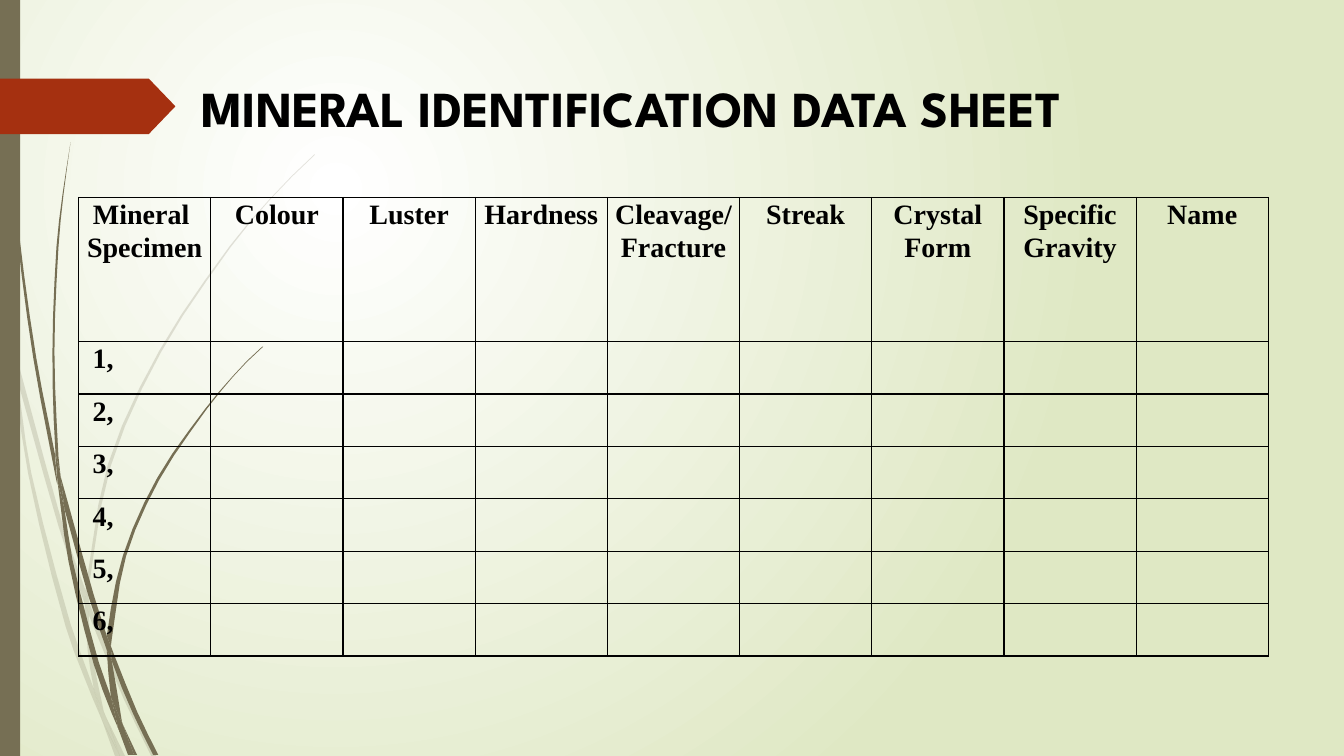
from dataclasses import dataclass
from lxml import etree
from pptx import Presentation
from pptx.dml.color import RGBColor
from pptx.enum.shapes import MSO_SHAPE
from pptx.enum.text import MSO_ANCHOR, PP_ALIGN
from pptx.oxml.ns import qn
from pptx.util import Inches, Pt

RECT, ARROW = MSO_SHAPE.RECTANGLE, MSO_SHAPE.PENTAGON
TOP, MIDDLE = MSO_ANCHOR.TOP, MSO_ANCHOR.MIDDLE
LEFT, CENTER = PP_ALIGN.LEFT, PP_ALIGN.CENTER

UNIT = Inches(0.01)
COLS, ROWS = 1333, 750
BLACK, OLIVE, RUST = "000000", "766F54", "A53010"
WHITE, LIME = "FFFFFF", "DFE8C4"
REACH = 35
PLAIN = "{2D5ABB26-0587-4C30-8999-92F81FD0307C}"


@dataclass
class Box:
    col: float
    row: float
    wide: float
    high: float

    def place(self) -> list[int]:
        return [grid(n) for n in (self.col, self.row, self.wide, self.high)]


@dataclass
class Blade:
    out: str
    back: str


@dataclass
class Plant:
    alpha: int
    blades: list[Blade]


PALE = Plant(20, [
    Blade("11,350 9,322 0,282", "0,299 10,344 11,350"),
    Blade("17,376 58,522 84,599", "85,586 62,520 14,345"),
    Blade("88,610 123,694 150,750", "155,750 127,692 92,607 88,596"),
    Blade("119,750 124,750", "105,711"),
    Blade("101,714 99,707 93,683 70,619 31,469 17,376 11,350",
          "11,350 28,470 65,621 92,693 101,714"),
    Blade("84,599 87,646 93,683 96,692 105,711",
          "105,711 103,706 91,646 88,610 88,608 84,599"),
    Blade("88,596 88,584 110,462 160,349 229,245 268,198 290,175 312,154",
          "312,153 289,175 268,197 228,244 158,348 107,461 85,584 85,586"),
    Blade("101,714 114,750", "119,750 101,714"),
    Blade("88,608 88,610 88,596", "85,586 84,599 88,608"),
    Blade("96,692 93,683 99,707 101,714 119,750", "119,750 105,711 96,692"),
])
DARK = Plant(100, [
    Blade("57,481 55,457 55,453 36,355 19,232 8,109 5,48 4,0",
          "3,0 4,48 7,110 17,233 33,355 56,477 57,481"),
    Blade("64,505 88,592 106,645", "106,633 106,631 93,590 60,472"),
    Blade("110,641 111,656 132,708 152,749", "157,749 136,706 113,649 110,641"),
    Blade("57,477 68,557 93,659 111,708 117,722",
          "116,717 110,691 98,657 72,556 64,505 57,477"),
    Blade("60,472 58,453 54,349 58,245 63,193 70,141",
          "70,141 62,193 56,245 52,349 55,449 60,472"),
    Blade("133,749 136,749", "122,719"),
    Blade("57,477 64,505", "60,472 55,449 55,453 57,477"),
    Blade("110,641 111,633 125,552 158,476 205,406 231,374 245,359 261,344",
          "260,344 245,358 231,373 204,405 156,474 122,551 106,631 110,641"),
    Blade("117,722 127,749", "131,749 117,722"),
    Blade("106,645 110,691 116,706 122,719", "121,716 111,656 109,651 106,645"),
    Blade("106,645 109,651 111,656", "110,641 106,631 106,645"),
    Blade("116,706 110,691 116,717 117,722 130,749", "133,749 122,719 116,706"),
])

HEADS = ["Mineral \nSpecimen", "Colour", "Luster", "Hardness", "Cleavage/\nFracture",
         "Streak", "Crystal\nForm", "Specific\nGravity", "Name"]
COUNT = 6
SHEET = Box(78, 196, 1180, 455)
HEAD_ROW = 143


def grid(n: float) -> int:
    return round(n * UNIT)


def paint(code: str) -> RGBColor:
    return RGBColor.from_string(code)


def style(shape, code: str, alpha: int = 100) -> None:
    shape.shadow.inherit = False
    shape.line.fill.background()
    shape.fill.solid()
    shape.fill.fore_color.rgb = paint(code)
    if alpha < 100:
        tint = shape.element.spPr.find(".//" + qn("a:srgbClr"))
        etree.SubElement(tint, qn("a:alpha"), val=str(alpha * 1000))


def write(frame, text: str, *, font: str, size: float, align=LEFT, space: float = 1.0) -> None:
    frame.word_wrap = True
    for i, line in enumerate(text.split("\n")):
        para = frame.add_paragraph() if i else frame.paragraphs[0]
        para.alignment, para.line_spacing = align, space
        run = para.add_run()
        run.text = line
        run.font.name, run.font.size, run.font.bold = font, Pt(size), True
        run.font.color.rgb = paint(BLACK)


def curve(text: str) -> list[complex]:
    knots = [complex(*map(float, pair.split(","))) for pair in text.split()]
    last = len(knots) - 1
    slopes = []
    for i in range(last + 1):
        span = knots[min(i + 1, last)] - knots[max(i - 1, 0)]
        slopes.append(span / (abs(span) or 1))
    dots = knots[:1]
    for i in range(last):
        a, d = knots[i], knots[i + 1]
        size = abs(d - a)
        b, c = a + slopes[i] * size / 3, d - slopes[i + 1] * size / 3
        steps = min(3, 1 + int(size / REACH))
        for step in range(1, steps + 1):
            t = step / steps
            u = 1 - t
            dots.append(u**3 * a + 3 * u * u * t * b + 3 * u * t * t * c + t**3 * d)
    return dots


def grow(shapes, plant: Plant) -> None:
    for blade in plant.blades:
        dots = [(grid(p.real), grid(p.imag)) for p in curve(blade.out) + curve(blade.back)]
        pen = shapes.build_freeform(*dots[0])
        pen.add_line_segments(dots[1:], close=True)
        style(pen.convert_to_shape(), OLIVE, plant.alpha)


def glow(slide) -> None:
    fill = slide.background.fill
    fill.gradient()
    for stop, code in zip(fill.gradient_stops, (WHITE, LIME)):
        stop.color.rgb = paint(code)
    line = slide.element.find(".//" + qn("a:lin"))
    ring = etree.Element(qn("a:path"), {"path": "circle"})
    etree.SubElement(ring, qn("a:fillToRect"), l="50000", t="50000", r="100000", b="100000")
    line.getparent().replace(line, ring)


def edge(cell, sides: list[str]) -> None:
    cell.margin_left = cell.margin_right = grid(7)
    cell.margin_top = cell.margin_bottom = 0
    cell.vertical_anchor = TOP
    props = cell._tc.get_or_add_tcPr()
    for side in sides:
        line = etree.SubElement(props, qn("a:ln" + side), w=str(Pt(1)))
        solid = etree.SubElement(line, qn("a:solidFill"))
        etree.SubElement(solid, qn("a:srgbClr"), val=BLACK)
    cell.fill.background()


def tabulate(shapes) -> None:
    table = shapes.add_table(COUNT + 1, len(HEADS), *SHEET.place()).table
    table.first_row = table.horz_banding = False
    table._tbl.find(".//" + qn("a:tableStyleId")).text = PLAIN
    for col in table.columns:
        col.width = grid(SHEET.wide / len(HEADS))
    for i, row in enumerate(table.rows):
        row.height = grid((SHEET.high - HEAD_ROW) / COUNT if i else HEAD_ROW)
        for j, cell in enumerate(row.cells):
            edge(cell, ["L"] * (j == 0) + ["R"] + ["T"] * (i == 0) + ["B"])
    look = {"font": "Times New Roman", "size": 20, "space": 1.07}
    for i, head in enumerate(HEADS):
        write(table.cell(0, i).text_frame, head, align=CENTER, **look)
    for n in range(1, COUNT + 1):
        write(table.cell(n, 0).text_frame, f" {n},", **look)


def main() -> None:
    deck = Presentation()
    deck.slide_width, deck.slide_height = grid(COLS), grid(ROWS)
    slide = deck.slides.add_slide(deck.slide_layouts[6])
    shapes = slide.shapes
    glow(slide)
    for plant in (PALE, DARK):
        grow(shapes, plant)
    style(shapes.add_shape(RECT, *Box(0, 0, 20, ROWS).place()), OLIVE)
    flag = shapes.add_shape(ARROW, *Box(0, 78, 174, 55).place())
    flag.adjustments[0] = 0.48
    style(flag, RUST)
    title = shapes.add_textbox(*Box(190, 68, 1068, 77).place()).text_frame
    title.vertical_anchor = MIDDLE
    write(title, "MINERAL IDENTIFICATION DATA SHEET", font="League Spartan", size=36)
    tabulate(shapes)
    deck.save("out.pptx")


if __name__ == "__main__":
    main()
